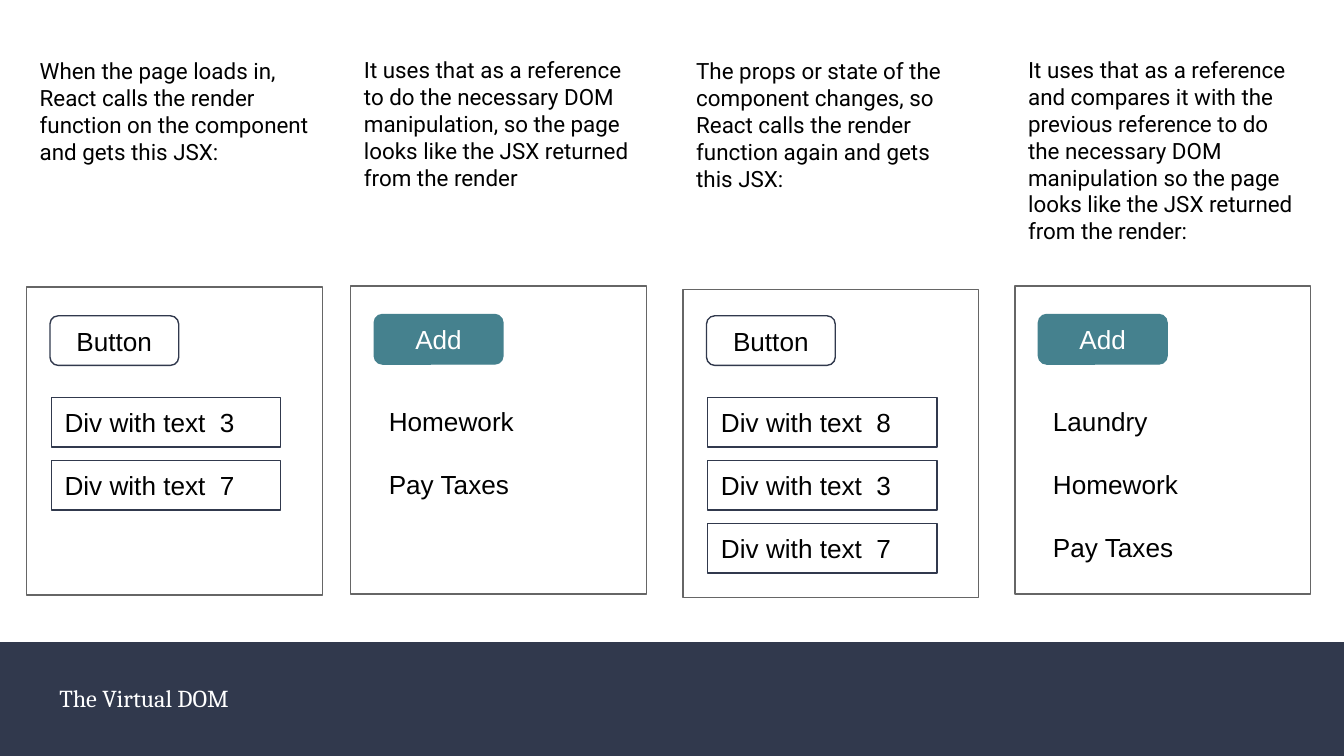
from pptx import Presentation
from pptx.dml.color import RGBColor
from pptx.enum.shapes import MSO_SHAPE
from pptx.enum.text import MSO_ANCHOR, MSO_AUTO_SIZE, PP_ALIGN
from pptx.util import Pt

RECT, ROUND = MSO_SHAPE.RECTANGLE, MSO_SHAPE.ROUNDED_RECTANGLE
TOP, MIDDLE = MSO_ANCHOR.TOP, MSO_ANCHOR.MIDDLE
LEFT, CENTER = PP_ALIGN.LEFT, PP_ALIGN.CENTER
NO_FIT = MSO_AUTO_SIZE.NONE

THEME = {
    "navy": "31394D", "teal": "45818E", "gray": "666666",
    "white": "FFFFFF", "black": "000000",
    "title": ("Cambria", 13), "caption": ("Roboto", 12), "widget": ("Arial", 14),
}


def write(sp, text, style, color, anchor=MIDDLE, align=LEFT):
    tf = sp.text_frame
    frame = {"word_wrap": True, "auto_size": NO_FIT, "vertical_anchor": anchor}
    frame.update({f"margin_{side}": Pt(7.2) for side in ("left", "top", "right", "bottom")})
    for name, value in frame.items():
        setattr(tf, name, value)
    p = tf.paragraphs[0]
    p.alignment = align
    r = p.add_run()
    r.text = text
    face, size = THEME[style]
    for name, value in {"name": face, "size": Pt(size), "bold": False}.items():
        setattr(r.font, name, value)
    r.font.color.rgb = RGBColor.from_string(THEME[color])


def box(kind, x, y, w, h, fill, line):
    sp = s.shapes.add_shape(kind, Pt(x), Pt(y), Pt(w), Pt(h))
    sp.shadow.inherit = False
    sp.fill.solid()
    sp.fill.fore_color.rgb = RGBColor.from_string(THEME[fill])
    if line:
        sp.line.color.rgb = RGBColor.from_string(THEME[line])
        sp.line.width = Pt(0.75)
    else:
        sp.line.fill.background()
    return sp


prs = Presentation()
prs.slide_width, prs.slide_height = Pt(720), Pt(405)
s = prs.slides.add_slide(prs.slide_layouts[5])

title = s.shapes.title
band = box(RECT, 0, 344, 720, 61, "navy", None)
title.element.addprevious(band.element)
for name, value in {"left": 24.6, "top": 355.7, "width": 628.6, "height": 36}.items():
    setattr(title, name, Pt(value))
write(title, "The Virtual DOM", "title", "white")

JSX = {"label": "Button", "fill": "white", "line": "navy", "ink": "black", "row_line": "navy"}
PAGE = {"label": "Add", "fill": "teal", "line": "teal", "ink": "white", "row_line": "white"}

columns = [
    (14.2, 153.8, 169.2, JSX, 4,
     "When the page loads in, React calls the render function on the component and gets this JSX:",
     ["Div with text  3", "Div with text  7"]),
    (187.9, 153.2, 168.5, PAGE, 5,
     "It uses that as a reference to do the necessary DOM manipulation, so the page looks like "
     "the JSX returned from the render",
     ["Homework", "Pay Taxes"]),
    (365.9, 155, 169.2, JSX, 5,
     "The props or state of the component changes, so React calls the render function again "
     "and gets this JSX:",
     ["Div with text  8", "Div with text  3", "Div with text  7"]),
    (543.7, 153.2, 168.5, PAGE, 7,
     "It uses that as a reference and compares it with the previous reference to do the necessary "
     "DOM manipulation so the page looks like the JSX returned from the render:",
     ["Laundry", "Homework", "Pay Taxes"]),
]

for x, frame_y, button_y, look, lines, caption, rows in columns:
    box(RECT, x, frame_y, 158.5, 165, "white", "gray")
    button = box(ROUND, x + 12.6, button_y, 69, 26.6, look["fill"], look["line"])
    write(button, look["label"], "widget", look["ink"], align=CENTER)
    for i, text in enumerate(rows):
        row = box(RECT, x + 13.3, button_y + 43.8 + 33.7 * i, 122.9, 26.6,
                  "white", look["row_line"])
        write(row, text, "widget", "black")
    tb = s.shapes.add_textbox(Pt(x), Pt(button_y - 145.6), Pt(158.5), Pt(14.4 * (lines + 1)))
    write(tb, caption, "caption", "black", anchor=TOP)

prs.save("out.pptx")
